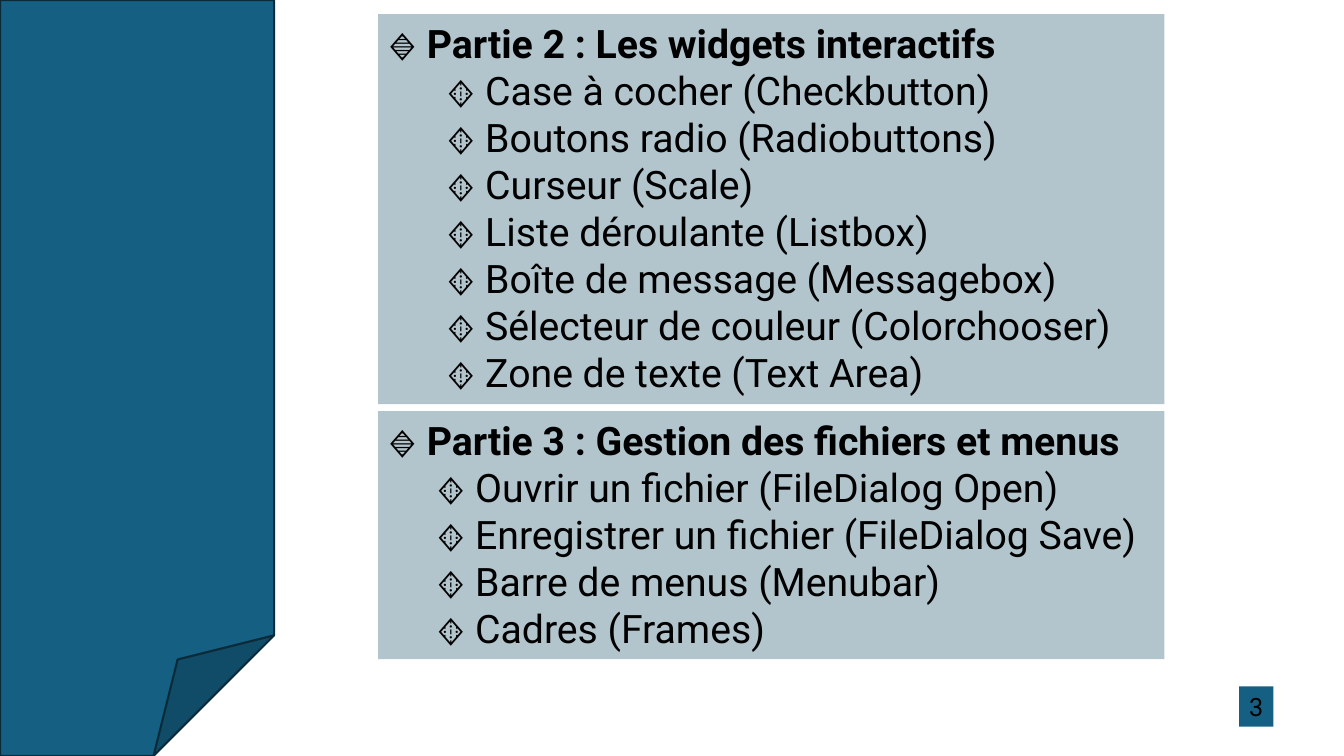
"""Build the course outline slide for parts 2 and 3."""
from lxml.etree import SubElement
from pptx import Presentation
from pptx.dml.color import RGBColor
from pptx.enum.shapes import MSO_SHAPE as Shape
from pptx.enum.text import MSO_ANCHOR as Anchor, MSO_AUTO_SIZE as AutoSize, PP_ALIGN as Align
from pptx.oxml.ns import qn
from pptx.util import Inches, Pt

BLUE = RGBColor(0x15, 0x60, 0x82)
DARK_BLUE = RGBColor(0x09, 0x2A, 0x39)
GREY_BLUE = RGBColor(0xB2, 0xC5, 0xCC)
BLACK = RGBColor(0, 0, 0)
PANEL_LEFT, PANEL_WIDTH = 28.13, 58.5

PARTS = [
    (1.87, 51.6, 0.58, "Partie 2 : Les widgets interactifs", [
        "Case à cocher (Checkbutton)",
        "Boutons radio (Radiobuttons)",
        "Curseur (Scale)",
        "Liste déroulante (Listbox)",
        "Boîte de message (Messagebox)",
        "Sélecteur de couleur (Colorchooser)",
        "Zone de texte (Text Area)",
    ]),
    (54.4, 32.8, 0.48, "Partie 3 : Gestion des fichiers et menus", [
        "Ouvrir un fichier (FileDialog Open)",
        "Enregistrer un fichier (FileDialog Save)",
        "Barre de menus (Menubar)",
        "Cadres (Frames)",
    ]),
]

presentation = Presentation()
presentation.slide_width = Inches(13.33)
presentation.slide_height = Inches(7.5)
slide = presentation.slides.add_slide(presentation.slide_layouts[6])


def add_block(kind, left, top, width, height, color):
    """Add a filled shape placed in percent of the slide's size."""
    column, row = presentation.slide_width / 100, presentation.slide_height / 100
    shape = slide.shapes.add_shape(
        kind, int(left * column), int(top * row), int(width * column), int(height * row))
    shape.shadow.inherit = False
    shape.fill.solid()
    shape.fill.fore_color.rgb = color
    shape.line.fill.background()
    return shape


def write_lines(shape, lines, size, indent=0, wrap=True):
    """Write a first line and indented lines below it."""
    frame = shape.text_frame
    frame.word_wrap = wrap
    frame.auto_size = AutoSize.SHAPE_TO_FIT_TEXT
    frame.vertical_anchor = Anchor.TOP
    frame.text = "\n".join(lines)
    for index, paragraph in enumerate(frame.paragraphs):
        paragraph.alignment = Align.LEFT
        paragraph.font.name = "Roboto"
        paragraph.font.size = Pt(size)
        paragraph.font.color.rgb = BLACK
        paragraph.font.bold = index == 0 and len(lines) > 1
        if index:
            paragraph._p.get_or_add_pPr().set("marL", str(Inches(indent)))


banner = add_block(Shape.FOLDED_CORNER, 0, 0, 20.4, 100, BLUE)
banner.line.color.rgb = DARK_BLUE
banner.line.width = Pt(1.5)
fold_values = banner._element.spPr.find(qn("a:prstGeom")).find(qn("a:avLst"))
SubElement(fold_values, qn("a:gd"), name="adj", fmla="val 44000")

page_number = add_block(Shape.RECTANGLE, 92.2, 90.8, 2.55, 5.33, BLUE)
write_lines(page_number, ["3"], 18, wrap=False)

for top, height, indent, title, topics in PARTS:
    panel = add_block(Shape.RECTANGLE, PANEL_LEFT, top, PANEL_WIDTH, height, GREY_BLUE)
    write_lines(panel, [f"🔹 {title}"] + [f"🔸 {topic}" for topic in topics], 28, indent)

presentation.save("out.pptx")
